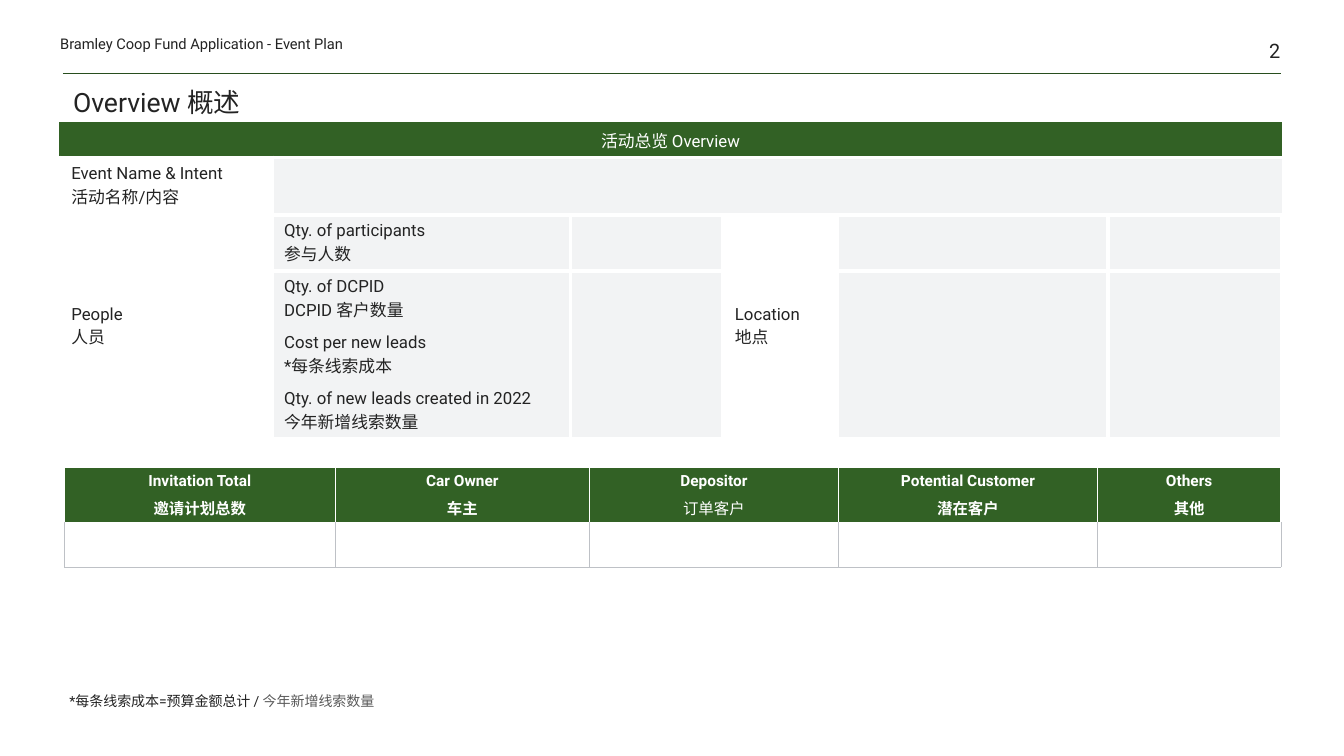
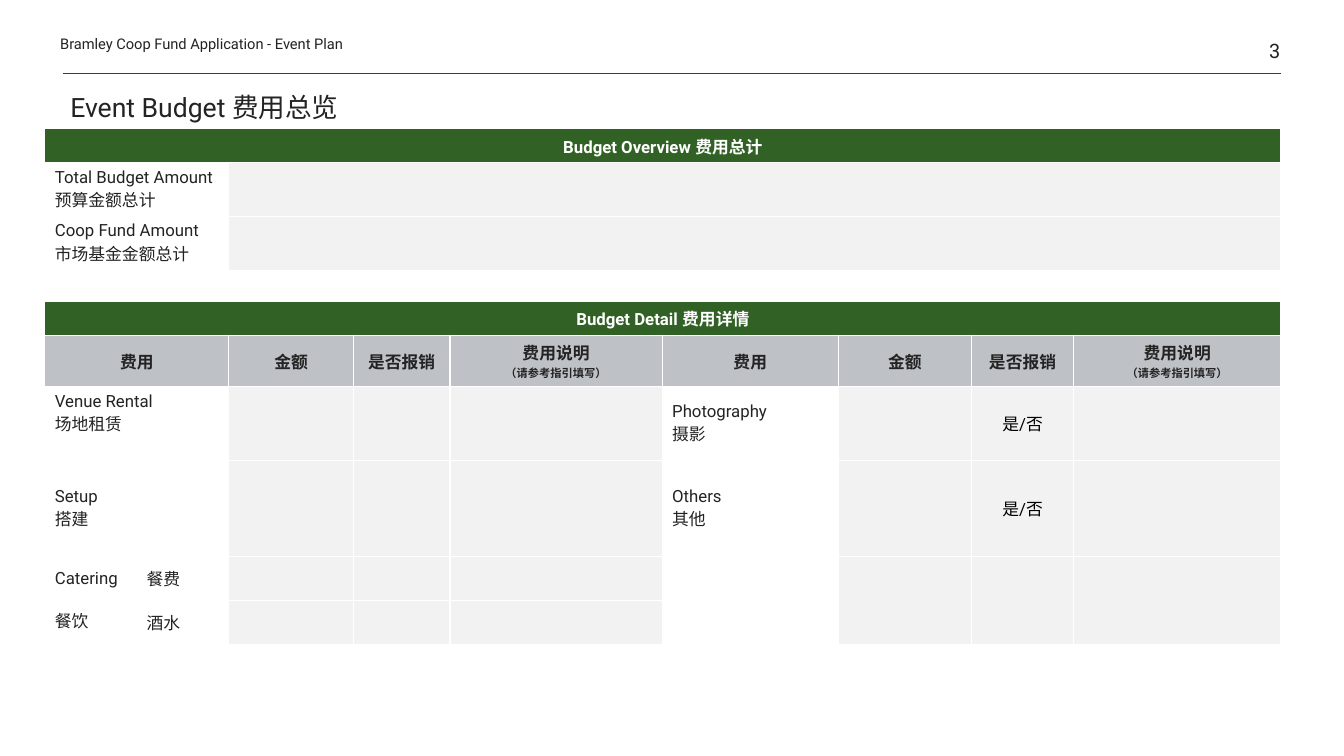
from dataclasses import dataclass
from itertools import product

from lxml.etree import SubElement
from pptx import Presentation
from pptx.dml.color import RGBColor
from pptx.enum.shapes import MSO_CONNECTOR
from pptx.enum.text import MSO_ANCHOR as Anchor, PP_ALIGN as Align
from pptx.oxml.ns import qn
from pptx.util import Pt


@dataclass(frozen=True)
class Theme:
    """Colours and type sizes shared by the slides."""

    font: str = "Roboto"
    green: str = "326125"
    rule: str = "284E1E"
    ink: str = "232323"
    muted: str = "5A5A5A"
    black: str = "000000"
    white: str = "FFFFFF"
    mist: str = "F2F3F4"
    pale: str = "F2F2F2"
    silver: str = "BEC1C6"
    title: float = 19
    number: float = 14.2
    body: float = 12
    column_head: float = 11
    running_head: float = 10.5
    footnote: float = 10
    hint: float = 8


THEME = Theme()
PLAIN_TABLE = "{2D5ABB26-0587-4C30-8999-92F81FD0307C}"
EDGES = ["a:lnL", "a:lnR", "a:lnT", "a:lnB"]
EVENT_ROWS = [
    ["Qty. of participants", "参与人数"],
    ["Qty. of DCPID", "DCPID 客户数量"],
    ["Cost per new leads", "*每条线索成本"],
    ["Qty. of new leads created in 2022", "今年新增线索数量"],
]
GUESTS = [
    ["Invitation Total", "邀请计划总数"],
    ["Car Owner", "车主"],
    ["Depositor", "订单客户"],
    ["Potential Customer", "潜在客户"],
    ["Others", "其他"],
]
COST_HEADS = [["费用"], ["金额"], ["是否报销"], ["费用说明", "（请参考指引填写）"]]
YES_NO = ["是/否"]


def rgb(value):
    """Return a colour from its hex string."""
    return RGBColor.from_string(value)


def style(paragraph, size=THEME.body, color=THEME.ink, bold=False, align=Align.LEFT):
    """Set the font and alignment of a paragraph."""
    paragraph.alignment = align
    font = paragraph.font
    font.name, font.size, font.bold = THEME.font, Pt(size), bold
    font.color.rgb = rgb(color)


def write(frame, lines, **look):
    """Fill a text frame with one paragraph per line."""
    for index, line in enumerate(lines):
        paragraph = frame.add_paragraph() if index else frame.paragraphs[0]
        paragraph.text = line
        style(paragraph, **look)


def place(shape, box):
    """Move a shape to a box given in points."""
    shape.left, shape.top, shape.width, shape.height = map(Pt, box)


def add_label(slide, box, text, inset=0, anchor=Anchor.BOTTOM, **look):
    """Add a wrapped line of text and return its frame."""
    frame = slide.shapes.add_textbox(*map(Pt, box)).text_frame
    frame.word_wrap, frame.vertical_anchor = True, anchor
    frame.margin_left = frame.margin_right = Pt(inset)
    frame.margin_top = frame.margin_bottom = Pt(inset / 2)
    write(frame, [text], **look)
    return frame


def add_page(deck, number, title, title_box):
    """Add a slide with its running head, number, rule and title."""
    slide = deck.slides.add_slide(deck.slide_layouts[5])
    place(slide.shapes.title, title_box)
    frame = slide.shapes.title.text_frame
    frame.vertical_anchor = Anchor.BOTTOM
    write(frame, [title], size=THEME.title)
    frame.paragraphs[0].line_spacing = 0.85
    rule = slide.shapes.add_connector(
        MSO_CONNECTOR.STRAIGHT, Pt(45), Pt(52.5), Pt(915), Pt(52.5))
    rule.line.color.rgb, rule.line.width = rgb(THEME.rule), Pt(0.5)
    SubElement(rule._element.spPr, qn("a:effectLst"))
    add_label(slide, (854.5, 0, 60, 44.5), str(number),
              size=THEME.number, align=Align.RIGHT)
    add_label(slide, (43, 21, 300, 16.5),
              "Bramley Coop Fund Application - Event Plan", size=THEME.running_head)
    return slide


def add_grid(slide, left, top, widths, heights, insets):
    """Add an unstyled table with the given columns, rows and cell insets."""
    shape = slide.shapes.add_table(
        len(heights), len(widths), Pt(left), Pt(top), Pt(sum(widths)), Pt(sum(heights)))
    table = shape.table
    table.first_row = table.horz_banding = False
    table._tbl.tblPr.find(qn("a:tableStyleId")).text = PLAIN_TABLE
    for column, width in zip(table.columns, widths):
        column.width = Pt(width)
    for row, height in zip(table.rows, heights):
        row.height = Pt(height)
    for cell in table.iter_cells():
        cell.margin_left = cell.margin_right = Pt(insets[0])
        cell.margin_top = cell.margin_bottom = Pt(insets[1])
        cell.vertical_anchor = Anchor.MIDDLE
        style(cell.text_frame.paragraphs[0])
    return table


def merge(table, *areas):
    """Merge each area given as first row, first column, last row, last column."""
    for top, left, bottom, right in areas:
        table.cell(top, left).merge(table.cell(bottom, right))


def shade(table, area, color):
    """Fill every cell of an area."""
    top, left, bottom, right = area
    for row, column in product(range(top, bottom + 1), range(left, right + 1)):
        fill = table.cell(row, column).fill
        fill.solid()
        fill.fore_color.rgb = rgb(color)


def set_edge(cell, rank, color, width):
    """Draw one edge of a cell, in place of any earlier one."""
    properties = cell._tc.get_or_add_tcPr()
    for old in properties.findall(qn(EDGES[rank])):
        properties.remove(old)
    line = SubElement(properties, qn(EDGES[rank]), w=str(Pt(width)))
    SubElement(SubElement(line, qn("a:solidFill")), qn("a:srgbClr"), val=color)
    position = sum(properties.find(qn(tag)) is not None for tag in EDGES[:rank])
    properties.insert(position, line)


def outline(table, area, color, width):
    """Draw the four outer edges of an area."""
    top, left, bottom, right = area
    for row in range(top, bottom + 1):
        set_edge(table.cell(row, left), 0, color, width)
        set_edge(table.cell(row, right), 1, color, width)
    for column in range(left, right + 1):
        set_edge(table.cell(top, column), 2, color, width)
        set_edge(table.cell(bottom, column), 3, color, width)


def outline_cells(table, rows, color, width):
    """Draw the edges of every cell in the given rows."""
    for row, column in product(rows, range(len(table.columns))):
        outline(table, (row, column, row, column), color, width)


def fill_texts(table, texts, **look):
    """Write lines into cells keyed by row and column."""
    for (row, column), lines in texts.items():
        write(table.cell(row, column).text_frame, lines, **look)


def add_event_table(slide, left, top):
    """Add the event overview form."""
    table = add_grid(slide, left, top, [152, 213, 109, 81.5, 193.5, 124],
                     [25.5, 41] + [40] * 4, (8.5, 4.25))
    band, name, intent = (0, 0, 0, 5), (1, 0, 1, 0), (1, 1, 1, 5)
    people, counts, place_name, venue = (2, 0, 5, 0), (2, 1, 5, 2), (2, 3, 5, 3), (2, 4, 5, 5)
    merge(table, band, intent, people, place_name, (3, 4, 4, 4), (3, 5, 4, 5))
    shade(table, band, THEME.green)
    for area in (intent, counts, venue):
        shade(table, area, THEME.mist)
    for area in (name, intent, people, counts, place_name, venue):
        outline(table, area, THEME.white, 3)
    for column in range(6):
        set_edge(table.cell(0, column), 3, THEME.white, 3)
    fill_texts(table, {(0, 0): ["活动总览 Overview"]},
               color=THEME.white, align=Align.CENTER)
    fill_texts(table, {
        (1, 0): ["Event Name & Intent", "活动名称/内容"],
        (2, 0): ["People", "人员"],
        (2, 3): ["Location", "地点"],
        **{(row, 1): lines for row, lines in enumerate(EVENT_ROWS, 2)},
    })


def add_guest_table(slide, left, top):
    """Add the table of invited guests by kind."""
    table = add_grid(slide, left, top, [193.5, 181.5, 178, 185, 131],
                     [39.5, 31.5], (3.6, 3.6))
    shade(table, (0, 0, 0, 4), THEME.green)
    outline_cells(table, [0], THEME.white, 1)
    outline_cells(table, [1], THEME.silver, 0.5)
    for column, lines in enumerate(GUESTS):
        frame = table.cell(0, column).text_frame
        write(frame, lines, size=THEME.column_head, color=THEME.white,
              bold=True, align=Align.CENTER)
        for paragraph in frame.paragraphs:
            paragraph.space_before = Pt(4)
    table.cell(0, 2).text_frame.paragraphs[1].font.bold = False


def add_budget_table(slide, left, top):
    """Add the budget totals and the cost details."""
    table = add_grid(slide, left, top, [65.5, 66, 89, 69, 151.5, 126, 95, 73, 148],
                     [24, 38.5, 38.5, 22, 24.5, 36.5, 53, 68.5, 31.5, 31.5], (7.2, 3.6))
    merge(table, (0, 0, 0, 8), (4, 0, 4, 8), (8, 0, 9, 0),
          *[(row, 0, row, 1) for row in (1, 2, 3, 5, 6, 7)],
          *[(row, 2, row, 8) for row in (1, 2, 3)],
          *[(8, column, 9, column) for column in range(5, 9)])
    for row in (0, 4):
        shade(table, (row, 0, row, 8), THEME.green)
    shade(table, (3, 0, 3, 8), THEME.white)
    shade(table, (5, 0, 5, 8), THEME.silver)
    for area in ((1, 2, 2, 8), (6, 2, 9, 4), (6, 6, 9, 8)):
        shade(table, area, THEME.pale)
    outline_cells(table, range(10), THEME.white, 1)
    fill_texts(table, {(0, 0): ["Budget Overview 费用总计"],
                       (4, 0): ["Budget Detail 费用详情"]},
               color=THEME.white, bold=True, align=Align.CENTER)
    heads = dict(zip(product([5], [0, 2, 3, 4, 5, 6, 7, 8]), COST_HEADS * 2))
    fill_texts(table, heads, bold=True, align=Align.CENTER)
    for column in (4, 8):
        table.cell(5, column).text_frame.paragraphs[1].font.size = Pt(THEME.hint)
    fill_texts(table, {
        (1, 0): ["Total Budget Amount", "预算金额总计"],
        (2, 0): ["Coop Fund Amount", "市场基金金额总计"],
        (6, 0): ["Venue Rental", "场地租赁"],
        (6, 5): ["Photography", "摄影"],
        (7, 0): ["Setup", "搭建"],
        (7, 5): ["Others", "其他"],
        (8, 0): ["Catering", "餐饮"],
        (8, 1): ["餐费"],
        (9, 1): ["酒水"],
    })
    fill_texts(table, {(6, 7): YES_NO, (7, 7): YES_NO},
               color=THEME.black, align=Align.CENTER)
    table.cell(6, 0).vertical_anchor = Anchor.TOP
    catering = table.cell(8, 0)
    catering.margin_right = 0
    catering.text_frame.paragraphs[1].space_before = Pt(14)


def add_cost_note(slide, box):
    """Add the note that explains the cost per lead."""
    note = add_label(slide, box, "*每条线索成本=预算金额总计 / ", inset=7.2,
                     anchor=Anchor.TOP, size=THEME.footnote).paragraphs[0]
    divisor = note.add_run()
    divisor.text = "今年新增线索数量"
    divisor.font.color.rgb = rgb(THEME.muted)


def main():
    """Build and save the presentation."""
    deck = Presentation()
    deck.slide_width, deck.slide_height = Pt(960), Pt(540)
    overview = add_page(deck, 2, "Overview 概述", (45, 59, 870, 29))
    add_event_table(overview, 42.5, 87)
    add_guest_table(overview, 46, 334)
    add_cost_note(overview, (42.5, 491, 403, 19.5))
    budget = add_page(deck, 3, "Event Budget 费用总览", (43, 54, 870, 37.5))
    add_budget_table(budget, 32, 92)
    deck.save("out.pptx")


if __name__ == "__main__":
    main()
